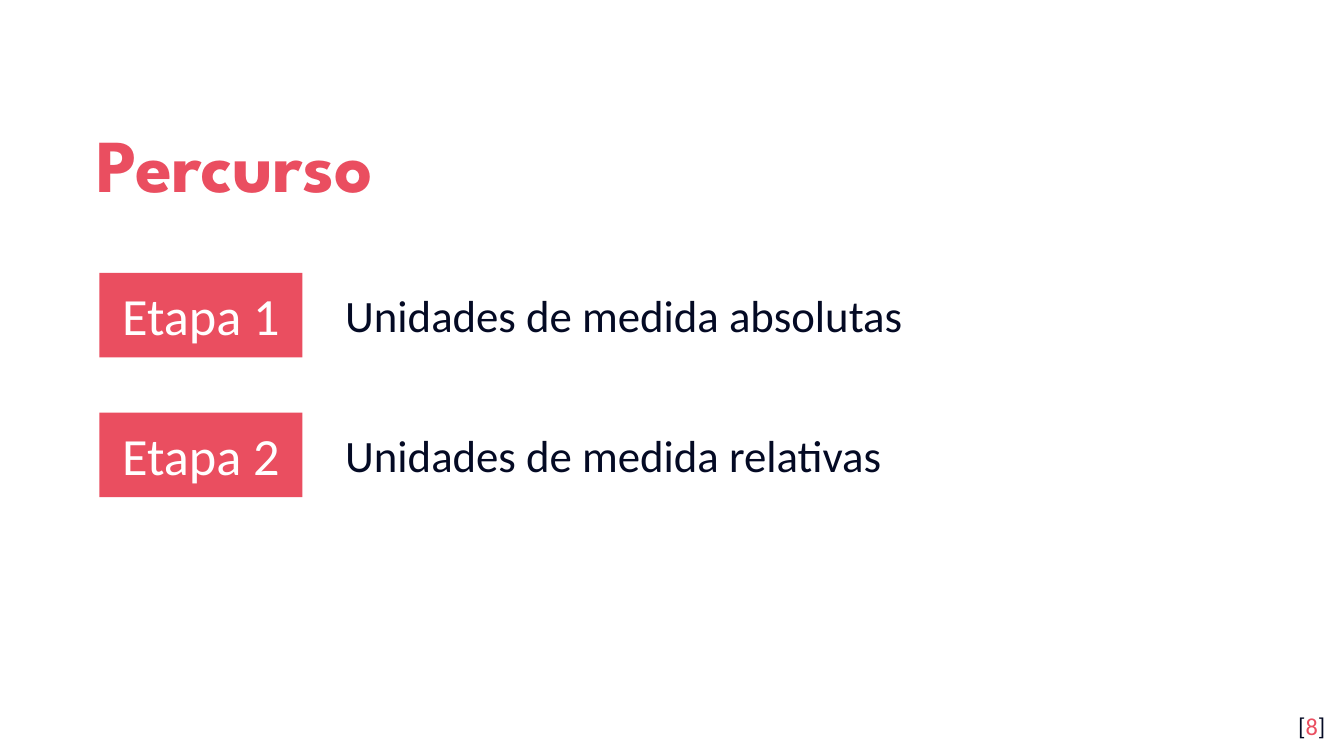
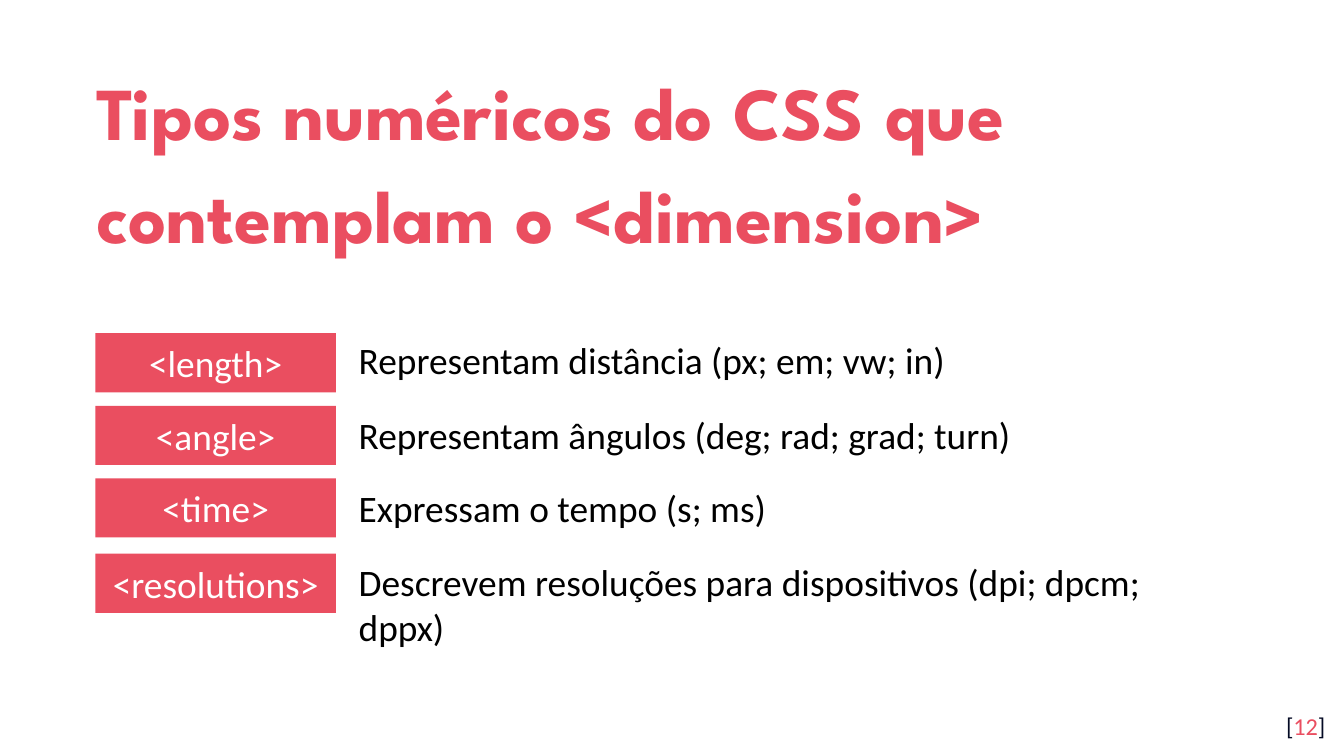
import dataclasses

import pptx
import pptx.dml.color
import pptx.enum.shapes
import pptx.enum.text
import pptx.util

Inches = pptx.util.Inches
Align = pptx.enum.text.PP_ALIGN
Anchor = pptx.enum.text.MSO_ANCHOR
AutoSize = pptx.enum.text.MSO_AUTO_SIZE


@dataclasses.dataclass(frozen=True)
class Theme:
    accent: str = "EA4E60"
    ink: str = "040A24"
    black: str = "000000"
    white: str = "FFFFFF"
    title_font: str = "League Spartan"
    body_font: str = "Calibri"
    title_size: int = 40
    step_size: int = 28
    topic_size: int = 24
    type_size: int = 20
    number_size: int = 13


THEME = Theme()
TITLE_ONLY = 5
PAGE_WIDTH = 10
PAGE_HEIGHT = PAGE_WIDTH * 9 / 16


def color(code):
    return pptx.dml.color.RGBColor.from_string(code)


def write(shape, spans, *, size, font=THEME.body_font, bold=False, align=Align.LEFT,
          anchor=Anchor.TOP, inset=0.1, spacing=1.0, fit=AutoSize.NONE):
    """Fill a shape with one paragraph of (text, colour) spans."""
    frame = shape.text_frame
    frame.word_wrap = True
    frame.auto_size = fit
    frame.vertical_anchor = anchor
    frame.margin_left = frame.margin_right = Inches(0.1)
    frame.margin_top = frame.margin_bottom = Inches(inset)
    para = frame.paragraphs[0]
    para.alignment = align
    para.line_spacing = spacing
    for text, code in spans:
        span = para.add_run()
        span.text = text
        span.font.name = font
        span.font.size = pptx.util.Pt(size)
        span.font.bold = bold
        span.font.color.rgb = color(code)


def add_text(page, box, spans, **style):
    write(page.shapes.add_textbox(*map(Inches, box)), spans, **style)


def add_tag(page, box, text, size):
    tag = page.shapes.add_shape(
        pptx.enum.shapes.MSO_SHAPE.RECTANGLE, *map(Inches, box))
    tag.shadow.inherit = False
    tag.fill.solid()
    tag.fill.fore_color.rgb = color(THEME.accent)
    tag.line.fill.background()
    write(tag, [(text, THEME.white)], size=size, align=Align.CENTER, anchor=Anchor.MIDDLE)


def add_page(deck, title, title_width, number):
    """Add a slide with its title and bracketed page number."""
    page = deck.slides.add_slide(deck.slide_layouts[TITLE_ONLY])
    heading = page.shapes.title
    heading.left, heading.top = Inches(0.62), Inches(0.7)
    heading.width, heading.height = Inches(title_width), Inches(0.92)
    write(heading, [(title, THEME.accent)], size=THEME.title_size,
          font=THEME.title_font, bold=True, anchor=Anchor.MIDDLE, spacing=1.15)
    add_text(page, (9.36, 5.19, 0.6, 0.43),
             [("[", THEME.ink), (number, THEME.accent), ("]", THEME.ink)],
             size=THEME.number_size, align=Align.RIGHT)
    return page


def add_rows(page, box, rows, *, tag_width, tag_height, tag_size, gap,
             text_size, text_color, fit):
    """Place tags and descriptions inside (left, top, width).

    Each row is (label, tag offset, text, text offset, text height).
    """
    left, top, width = box
    text_left = left + tag_width + gap
    text_width = left + width - text_left
    for label, tag_drop, text, text_drop, text_height in rows:
        add_tag(page, (left, top + tag_drop, tag_width, tag_height), label, tag_size)
        add_text(page, (text_left, top + text_drop, text_width, text_height),
                 [(text, text_color)], size=text_size, inset=0.05, fit=fit)


def build_route(deck):
    page = add_page(deck, "Percurso", 8.1, "8")
    steps = [
        ("Etapa 1", 0, "Unidades de medida absolutas", 0.06, 0.5),
        ("Etapa 2", 1.04, "Unidades de medida relativas", 1.1, 0.5),
    ]
    add_rows(page, (0.74, 2.03, 8.48), steps,
             tag_width=1.51, tag_height=0.63, tag_size=THEME.step_size,
             gap=0.22, text_size=THEME.topic_size,
             text_color=THEME.ink, fit=AutoSize.NONE)


def build_types(deck):
    page = add_page(deck, "Tipos numéricos do CSS que contemplam o <dimension>", 8.77, "12")
    types = [
        ("<length>", 0, "Representam distância (px; em; vw; in)", -0.02, 0.44),
        ("<angle>", 0.54, "Representam ângulos (deg; rad; grad; turn)", 0.54, 0.44),
        ("<time>", 1.08, "Expressam o tempo (s; ms)", 1.08, 0.44),
        ("<resolutions>", 1.64,
         "Descrevem resoluções para dispositivos (dpi; dpcm; dppx)", 1.63, 0.77),
    ]
    add_rows(page, (0.71, 2.48, 8.47), types,
             tag_width=1.79, tag_height=0.44, tag_size=THEME.type_size,
             gap=0.07, text_size=THEME.type_size,
             text_color=THEME.black, fit=AutoSize.SHAPE_TO_FIT_TEXT)


def main():
    deck = pptx.Presentation()
    deck.slide_width, deck.slide_height = Inches(PAGE_WIDTH), Inches(PAGE_HEIGHT)
    build_route(deck)
    build_types(deck)
    deck.save("out.pptx")


if __name__ == "__main__":
    main()
